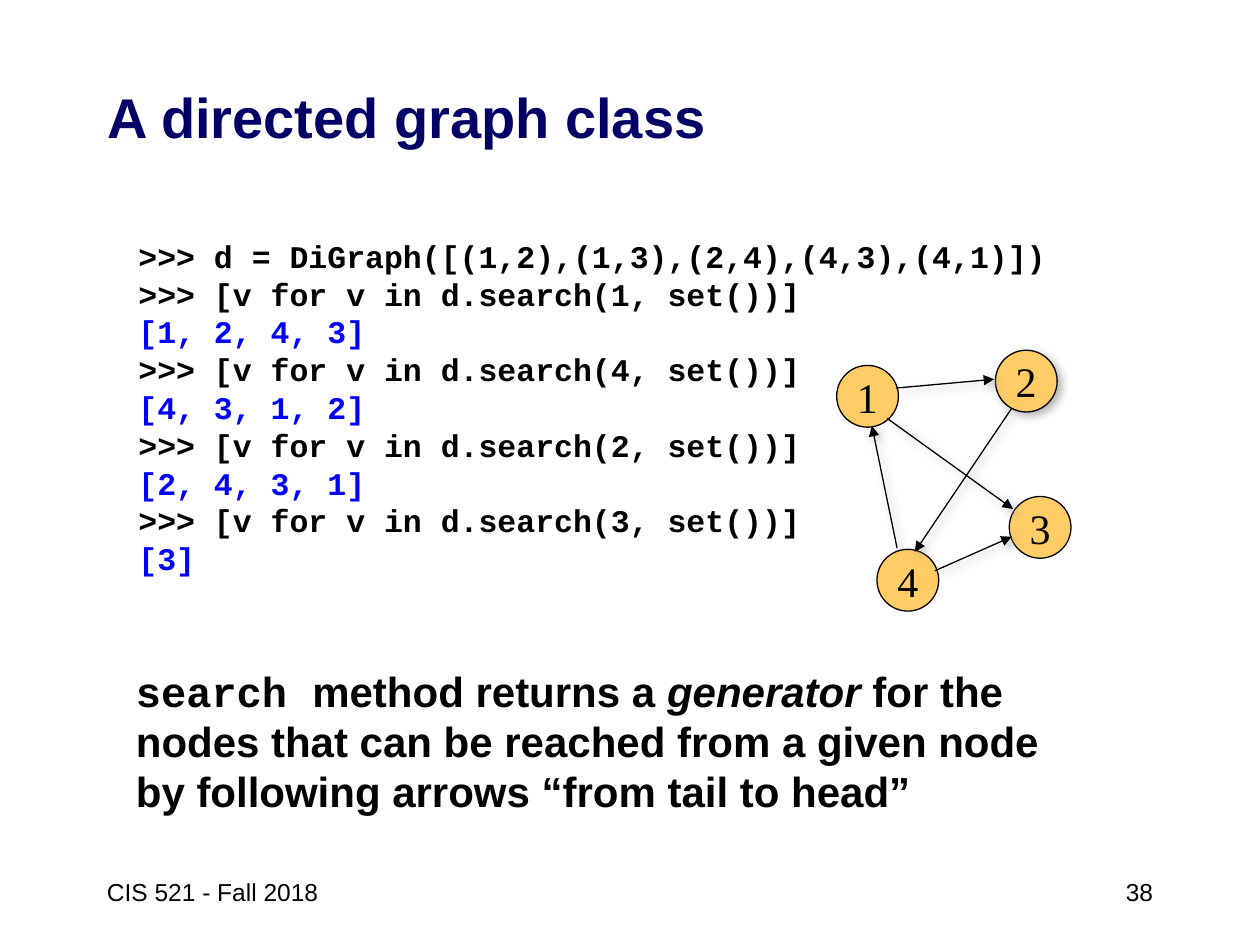
"""Build a slide on searching a directed graph class."""
from lxml import etree
from pptx import Presentation
from pptx.dml.color import RGBColor
from pptx.enum.shapes import MSO_CONNECTOR, MSO_SHAPE
from pptx.enum.text import MSO_ANCHOR, MSO_AUTO_SIZE, PP_ALIGN
from pptx.oxml.ns import qn
from pptx.util import Inches, Pt

LEFT, CENTER, RIGHT = PP_ALIGN.LEFT, PP_ALIGN.CENTER, PP_ALIGN.RIGHT
TOP, MIDDLE = MSO_ANCHOR.TOP, MSO_ANCHOR.MIDDLE
NO_AUTOFIT = MSO_AUTO_SIZE.NONE
OVAL = MSO_SHAPE.OVAL
STRAIGHT = MSO_CONNECTOR.STRAIGHT

COLORS = {
    "title": "000066",
    "text": "000000",
    "output": "0000FF",
    "node": "FFCC66",
    "shadow": "9F9F9F",
}
SANS, MONO, SERIF = "Arial", "Courier New", "Times New Roman"

TITLE = "A directed graph class"
SESSION = [
    ">>> d = DiGraph([(1,2),(1,3),(2,4),(4,3),(4,1)])",
    ">>> [v for v in d.search(1, set())]",
    "[1, 2, 4, 3]",
    ">>> [v for v in d.search(4, set())]",
    "[4, 3, 1, 2]",
    ">>> [v for v in d.search(2, set())]",
    "[2, 4, 3, 1]",
    ">>> [v for v in d.search(3, set())]",
    "[3]",
]
SUMMARY = [
    ("search ", MONO, False),
    ("method returns a ", SANS, False),
    ("generator ", SANS, True),
    ("for the nodes that can be reached from a given node by following "
     "arrows “from tail to head”", SANS, False),
]
FOOTERS = [
    ("CIS 521 - Fall 2018", (0.75, 6.83, 2.58, 0.5), LEFT),
    ("38", (7.17, 6.83, 2.08, 0.5), RIGHT),
]
NODE_SIZE = 0.49
NODES = [
    ("1", 6.64, 2.9, False),
    ("3", 8.01, 3.94, False),
    ("4", 6.96, 4.36, False),
    ("2", 7.9, 2.78, True),
]
EDGES = [
    (7.11, 3.08, 7.89, 3.01),
    (7.04, 3.32, 8.04, 4.04),
    (8.03, 3.24, 7.26, 4.38),
    (7.42, 4.53, 8.03, 4.26),
    (7.12, 4.35, 6.92, 3.38),
]


def rgb(name):
    return RGBColor.from_string(COLORS[name])


def add_span(para, text, font, size, color="text", bold=False, italic=False):
    span = para.add_run()
    span.text = text
    span.font.name, span.font.size = font, Pt(size)
    span.font.bold, span.font.italic = bold, italic
    span.font.color.rgb = rgb(color)


def set_frame(shape, anchor=TOP, wrap=True, align=LEFT):
    frame = shape.text_frame
    frame.auto_size = NO_AUTOFIT
    frame.word_wrap = wrap
    frame.vertical_anchor = anchor
    frame.paragraphs[0].alignment = align
    return frame


def add_box(slide, area, **options):
    box = slide.shapes.add_textbox(*map(Inches, area))
    return set_frame(box, **options)


def add_shadow(shape):
    properties = shape._element.spPr
    effects = properties.find(qn("a:effectLst"))
    if effects is None:
        effects = etree.SubElement(properties, qn("a:effectLst"))
    shadow = etree.SubElement(
        effects, qn("a:outerShdw"), blurRad=str(Pt(5)), dist=str(Pt(3)),
        dir=str(45 * 60000), algn="ctr", rotWithShape="0")
    color = etree.SubElement(shadow, qn("a:srgbClr"), val=COLORS["shadow"])
    etree.SubElement(color, qn("a:alpha"), val="75000")


def set_line(shape):
    shape.line.color.rgb = rgb("text")
    shape.line.width = Pt(0.75)


def add_node(slide, label, left, top, shadowed):
    node = slide.shapes.add_shape(
        OVAL, *map(Inches, (left, top, NODE_SIZE, NODE_SIZE)))
    node.shadow.inherit = False
    node.fill.solid()
    node.fill.fore_color.rgb = rgb("node")
    set_line(node)
    frame = set_frame(node, MIDDLE, False, CENTER)
    add_span(frame.paragraphs[0], label, SERIF, 24)
    if shadowed:
        add_shadow(node)


def add_edge(slide, ends):
    edge = slide.shapes.add_connector(STRAIGHT, *map(Inches, ends))
    set_line(edge)
    etree.SubElement(edge.line._get_or_add_ln(), qn("a:tailEnd"),
                     type="triangle", w="med", len="med")
    add_shadow(edge)


def main():
    deck = Presentation()
    deck.slide_width, deck.slide_height = Inches(10), Inches(7.5)
    slide = deck.slides.add_slide(deck.slide_layouts[5])

    title = slide.shapes.title
    title.left, title.top, title.width, title.height = map(
        Inches, (0.75, 0.67, 8.5, 0.5))
    frame = set_frame(title, MIDDLE)
    add_span(frame.paragraphs[0], TITLE, SANS, 32, "title", bold=True)

    frame = add_box(slide, (1, 1.83, 7.44, 2.83), wrap=False)
    for index, text in enumerate(SESSION):
        para = frame.add_paragraph() if index else frame.paragraphs[0]
        color = "text" if text.startswith(">>>") else "output"
        add_span(para, text, MONO, 18, color, bold=True)

    for node in NODES:
        add_node(slide, *node)
    for ends in EDGES:
        add_edge(slide, ends)

    frame = add_box(slide, (0.98, 5.23, 7.68, 1.31))
    for text, font, italic in SUMMARY:
        add_span(frame.paragraphs[0], text, font, 24, bold=True, italic=italic)

    for text, area, align in FOOTERS:
        frame = add_box(slide, area, anchor=MIDDLE, wrap=False, align=align)
        add_span(frame.paragraphs[0], text, SANS, 14)

    deck.save("out.pptx")


if __name__ == "__main__":
    main()
